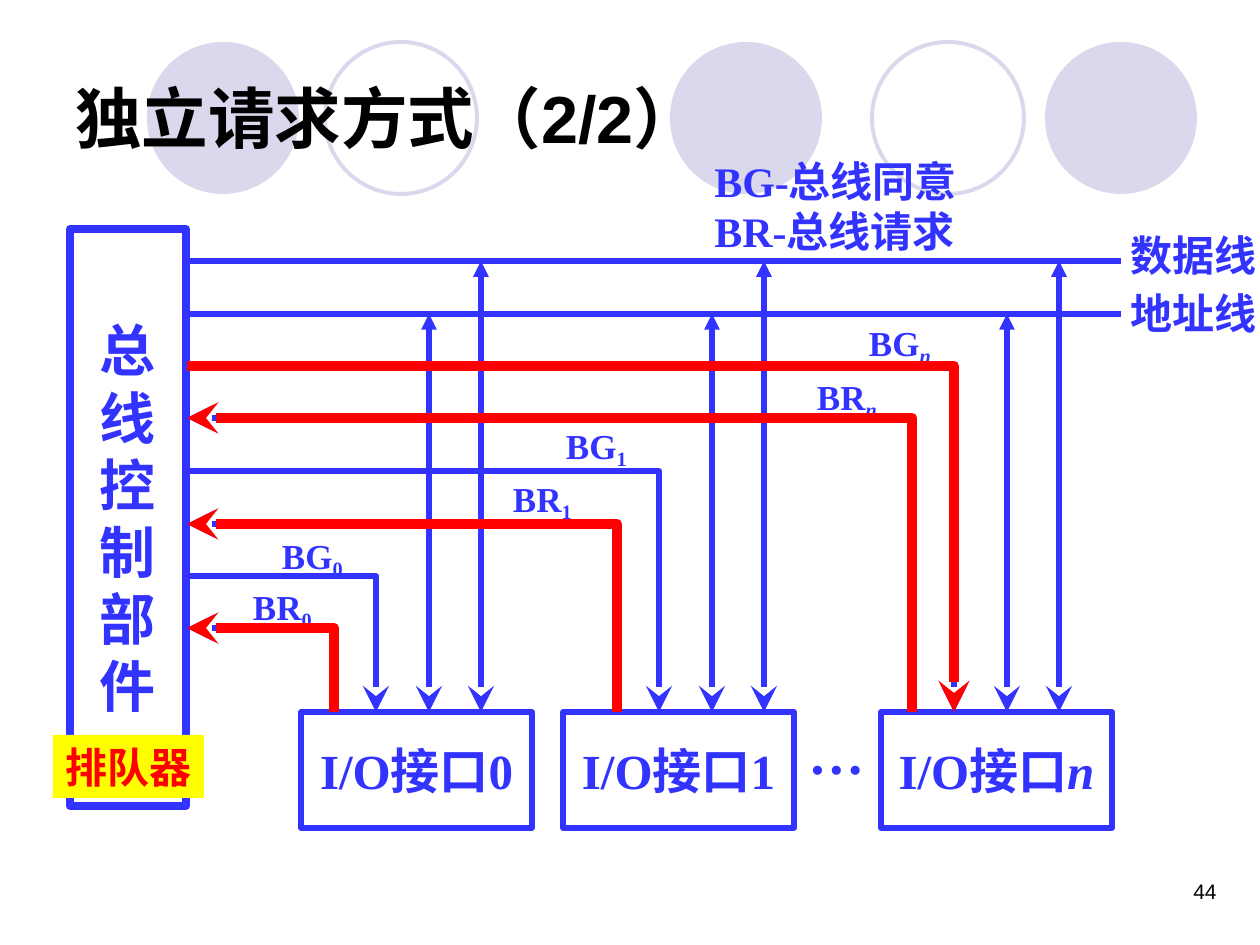
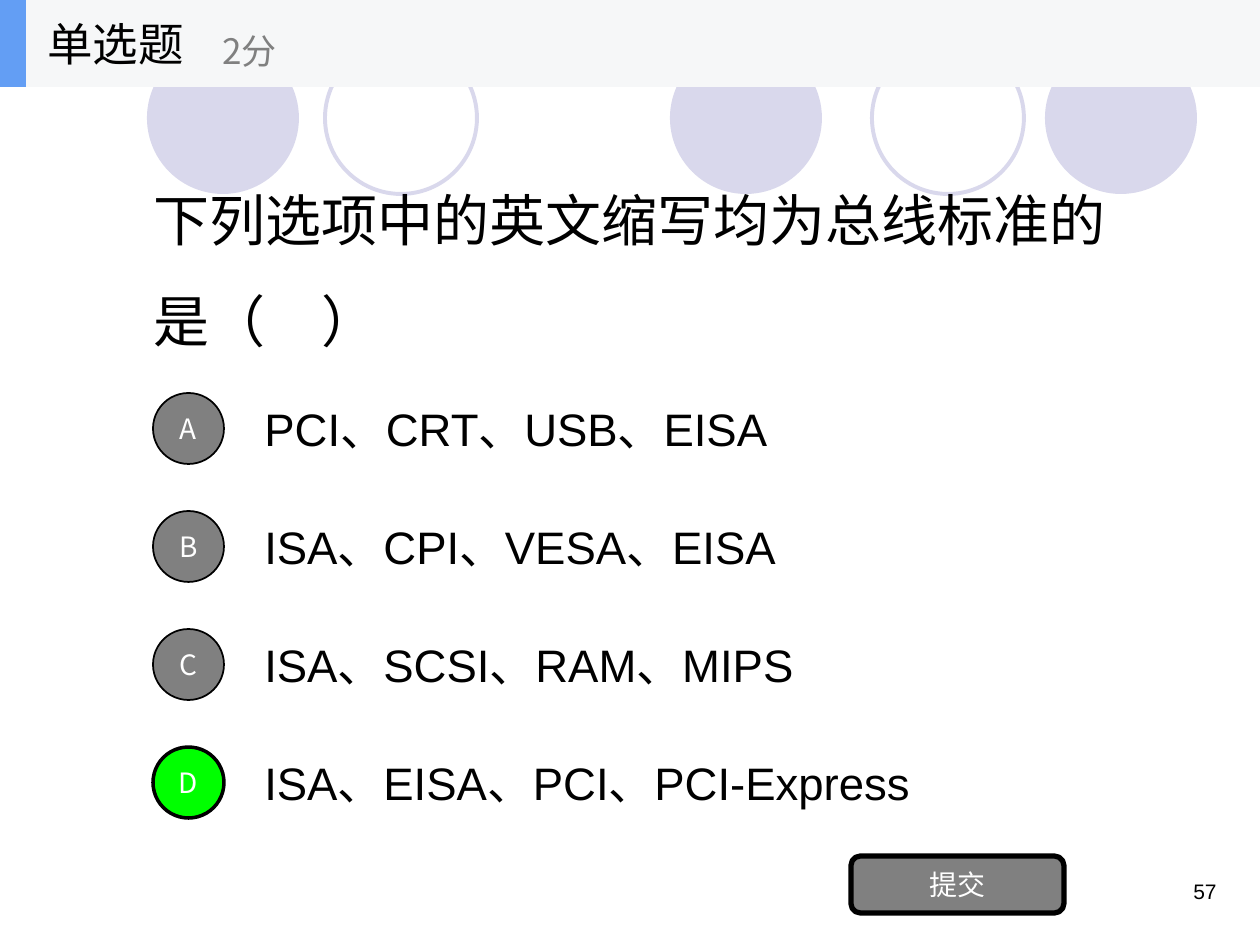
"""Builds two slides on buses: the independent request scheme and a quiz question."""
import pptx
import pptx.util
import pptx.dml.color
import pptx.enum.shapes
import pptx.enum.text
from lxml import etree

Shape = pptx.enum.shapes.MSO_SHAPE
Align = pptx.enum.text.PP_ALIGN
Anchor = pptx.enum.text.MSO_ANCHOR

BLUE, RED, YELLOW, LILAC = "3333FF", "FF0000", "FFFF00", "D9D8EC"
BLACK, WHITE, GREY, GREEN = "000000", "FFFFFF", "808080", "00FF00"
BAND, BAND_EDGE = "F6F7F8", "639EF4"
SERIF, SANS, CJK = "Times New Roman", "Arial", "Noto Sans CJK SC"

PX_PER_INCH = 126
PAGE_WIDTH, PAGE_HEIGHT = 1260, 945
CIRCLE_SIZE = 152
CIRCLES = [(670, 42, True), (1045, 42, True), (147, 42, True), (872, 42, False), (325, 42, False)]

TITLE = "独立请求方式（2/2）"
CONTROLLER = "总线控制部件"
QUEUE = "排队器"
LEGEND = ["BG-总线同意", "BR-总线请求"]
BUSES = [("数据线", 223), ("地址线", 281)]
BUS_START, BUS_END = 186, 1121
FIRST_ROW, ROW_STEP = 261, 52.5
PORT_X, UNIT_TOP, UNIT_WIDTH, UNIT_HEIGHT = 187, 712, 231, 116
UNITS = [
    {"name": "0", "left": 301, "request": 334, "rows": (6, 7), "labels": ((282, 534), (253, 585))},
    {"name": "1", "left": 563, "request": 617, "rows": (4, 5), "labels": ((566, 425), (513, 477))},
    {"name": "n", "left": 881, "request": 912, "rows": (2, 3), "labels": ((869, 321), (817, 375))},
]
LANE_OFFSETS = {"grant": 42, "address": 95, "data": 147}

QUESTION = "下列选项中的英文缩写均为总线标准的是（　）"
ANSWERS = [
    ("A", "PCI、CRT、USB、EISA"),
    ("B", "ISA、CPI、VESA、EISA"),
    ("C", "ISA、SCSI、RAM、MIPS"),
    ("D", "ISA、EISA、PCI、PCI-Express"),
]
CORRECT = "D"
ANSWER_TOP, ANSWER_STEP, ANSWER_HEIGHT, BADGE_SIZE = 384, 118, 88, 71


def emu(px):
    return round(px * 914400 / PX_PER_INCH)


def color(value):
    return pptx.dml.color.RGBColor.from_string(value)


def write(box, paragraphs, size, font=SERIF, ink=BLUE, bold=False, align=Align.LEFT,
          anchor=Anchor.TOP, wrap=False, inset=None, spacing=None):
    frame = box.text_frame
    frame.word_wrap = wrap
    frame.vertical_anchor = anchor
    if inset is not None:
        frame.margin_left = frame.margin_right = frame.margin_top = frame.margin_bottom = emu(inset)
    for index, spans in enumerate(paragraphs):
        para = frame.add_paragraph() if index else frame.paragraphs[0]
        para.alignment = align
        if spacing:
            para.line_spacing = spacing
        for text, style in [(spans, "")] if isinstance(spans, str) else spans:
            span = para.add_run()
            span.text = text
            span.font.size = pptx.util.Pt(size)
            span.font.name = font
            span.font.bold = bold
            span.font.italic = "italic" in style
            span.font.color.rgb = color(ink)
            if "sub" in style:
                span.font._element.set("baseline", "-20000")


def add_text(page, left, top, width, height, paragraphs, size, **options):
    box = page.shapes.add_textbox(emu(left), emu(top), emu(width), emu(height))
    write(box, paragraphs, size, **options)


def paint(shape, fill=None, line=None, weight=1):
    shape.shadow.inherit = False
    if fill:
        shape.fill.solid()
        shape.fill.fore_color.rgb = color(fill)
    else:
        shape.fill.background()
    if line:
        shape.line.color.rgb = color(line)
        shape.line.width = pptx.util.Pt(weight)
    else:
        shape.line.fill.background()


def add_box(page, kind, left, top, width, height, **look):
    box = page.shapes.add_shape(kind, emu(left), emu(top), emu(width), emu(height))
    paint(box, **look)
    return box


def add_line_end(line, tag, kind=None, size="med"):
    element = etree.SubElement(line, pptx.oxml.ns.qn(f"a:{tag}"))
    if kind:
        element.set("type", kind)
        element.set("w", size)
        element.set("len", size)


def add_line(page, start, end, arrows=False):
    points = [emu(value) for value in (*start, *end)]
    line = page.shapes.add_connector(pptx.enum.shapes.MSO_CONNECTOR.STRAIGHT, *points)
    line.line.color.rgb = color(BLUE)
    line.line.width = pptx.util.Pt(3)
    if arrows:
        outline = line.line._get_or_add_ln()
        add_line_end(outline, "headEnd", "triangle")
        add_line_end(outline, "tailEnd", "stealth", "lg")
    etree.SubElement(line._element.spPr, pptx.oxml.ns.qn("a:effectLst"))


def add_signal(page, row, lane, end, ink=BLUE, weight=3, size="lg"):
    y = row_y(row)
    builder = page.shapes.build_freeform(emu(PORT_X), emu(y))
    builder.add_line_segments([(emu(lane), emu(y)), (emu(lane), emu(UNIT_TOP))], close=False)
    signal = builder.convert_to_shape()
    paint(signal, line=ink, weight=weight)
    outline = signal.line._get_or_add_ln()
    add_line_end(outline, "round")
    add_line_end(outline, end, "stealth", size)


def row_y(row):
    return round(FIRST_ROW + row * ROW_STEP)


def add_page(deck, number):
    page = deck.slides.add_slide(deck.slide_layouts[6])
    for left, top, filled in CIRCLES:
        look = {"fill": LILAC} if filled else {"line": LILAC, "weight": 2.25}
        add_box(page, Shape.OVAL, left, top, CIRCLE_SIZE, CIRCLE_SIZE, **look)
    add_text(page, 935, 872, 294, 63, [number], 12, font=SANS, ink=BLACK,
             align=Align.RIGHT, wrap=True)
    return page


def build_request_page(deck):
    page = add_page(deck, "44")
    centred = {"bold": True, "align": Align.CENTER, "anchor": Anchor.MIDDLE}
    controller = add_box(page, Shape.RECTANGLE, 70, 229, 116, 577, line=BLUE, weight=4.5)
    write(controller, list(CONTROLLER), 32, **centred)
    for row, (name, top) in enumerate(BUSES):
        add_line(page, (BUS_START, row_y(row)), (BUS_END, row_y(row)))
        add_text(page, 1118, top, 151, 63, [name], 24, bold=True)
    for unit in UNITS:
        name, request = unit["name"], unit["request"]
        italic = "italic" if name == "n" else ""
        grant_row, request_row = unit["rows"]
        box = add_box(page, Shape.RECTANGLE, unit["left"], UNIT_TOP, UNIT_WIDTH, UNIT_HEIGHT,
                      line=BLUE, weight=3)
        write(box, [[("I/O接口", ""), (name, italic)]], 28, **centred)
        add_signal(page, grant_row, request + LANE_OFFSETS["grant"], "tailEnd")
        add_signal(page, request_row, request, "headEnd")
        for signal, (left, top) in zip(("BG", "BR"), unit["labels"]):
            add_text(page, left, top, 116, 47, [[(signal, ""), (name, italic + "sub")]], 20,
                     bold=True, wrap=True, inset=0)
        for row, bus in enumerate(("data", "address")):
            lane = request + LANE_OFFSETS[bus]
            add_line(page, (lane, row_y(row)), (lane, UNIT_TOP), arrows=True)
    add_text(page, 796, 712, 81, 81, ["…"], 32, bold=True)
    add_text(page, 702, 149, 325, 115, LEGEND, 24, bold=True, wrap=True)
    red = {"ink": RED, "weight": 6, "size": "med"}
    for unit in UNITS:
        add_signal(page, unit["rows"][1], unit["request"], "headEnd", **red)
    last = UNITS[-1]
    add_signal(page, last["rows"][0], last["request"] + LANE_OFFSETS["grant"], "tailEnd", **red)
    add_text(page, 63, 38, 1134, 158, [TITLE], 38, font=SANS, ink=BLACK, bold=True,
             anchor=Anchor.MIDDLE, wrap=True)
    queue = add_box(page, Shape.RECTANGLE, 53, 735, 151, 63, fill=YELLOW)
    write(queue, [QUEUE], 24, ink=RED, bold=True)


def build_quiz_page(deck):
    page = add_page(deck, "57")
    middle = {"anchor": Anchor.MIDDLE}
    label = {"font": CJK, "ink": WHITE, "align": Align.CENTER, **middle}
    add_text(page, 141, 105, 1008, 295, [QUESTION], 32, font=SANS, ink=BLACK, wrap=True,
             spacing=1.5, **middle)
    for index, (letter, answer) in enumerate(ANSWERS):
        top = ANSWER_TOP + index * ANSWER_STEP
        add_text(page, 252, top, 882, ANSWER_HEIGHT, [answer], 26, font=SANS, ink=BLACK,
                 wrap=True, **middle)
        fill, weight = (GREEN, 2) if letter == CORRECT else (GREY, 1)
        badge = add_box(page, Shape.OVAL, 153, top + (ANSWER_HEIGHT - BADGE_SIZE) // 2 + 1,
                        BADGE_SIZE, BADGE_SIZE, fill=fill, line=BLACK, weight=weight)
        write(badge, [letter], 16, wrap=True, **label)
    submit = add_box(page, Shape.ROUNDED_RECTANGLE, 851, 856, 213, 57, fill=GREY, line=BLACK,
                     weight=3)
    write(submit, ["提交"], 16, wrap=True, **label)
    add_box(page, Shape.RECTANGLE, 0, 0, PAGE_WIDTH, 87, fill=BAND)
    add_box(page, Shape.RECTANGLE, 0, 0, 26, 87, fill=BAND_EDGE)
    add_text(page, 35, 0, 262, 87, ["单选题"], 26, font=CJK, ink=BLACK, **middle)
    add_text(page, 210, 15, 315, 71, ["2分"], 20, font=CJK, ink=GREY, **middle)


def main():
    deck = pptx.Presentation()
    deck.slide_width, deck.slide_height = emu(PAGE_WIDTH), emu(PAGE_HEIGHT)
    build_request_page(deck)
    build_quiz_page(deck)
    deck.save("out.pptx")


if __name__ == "__main__":
    main()
